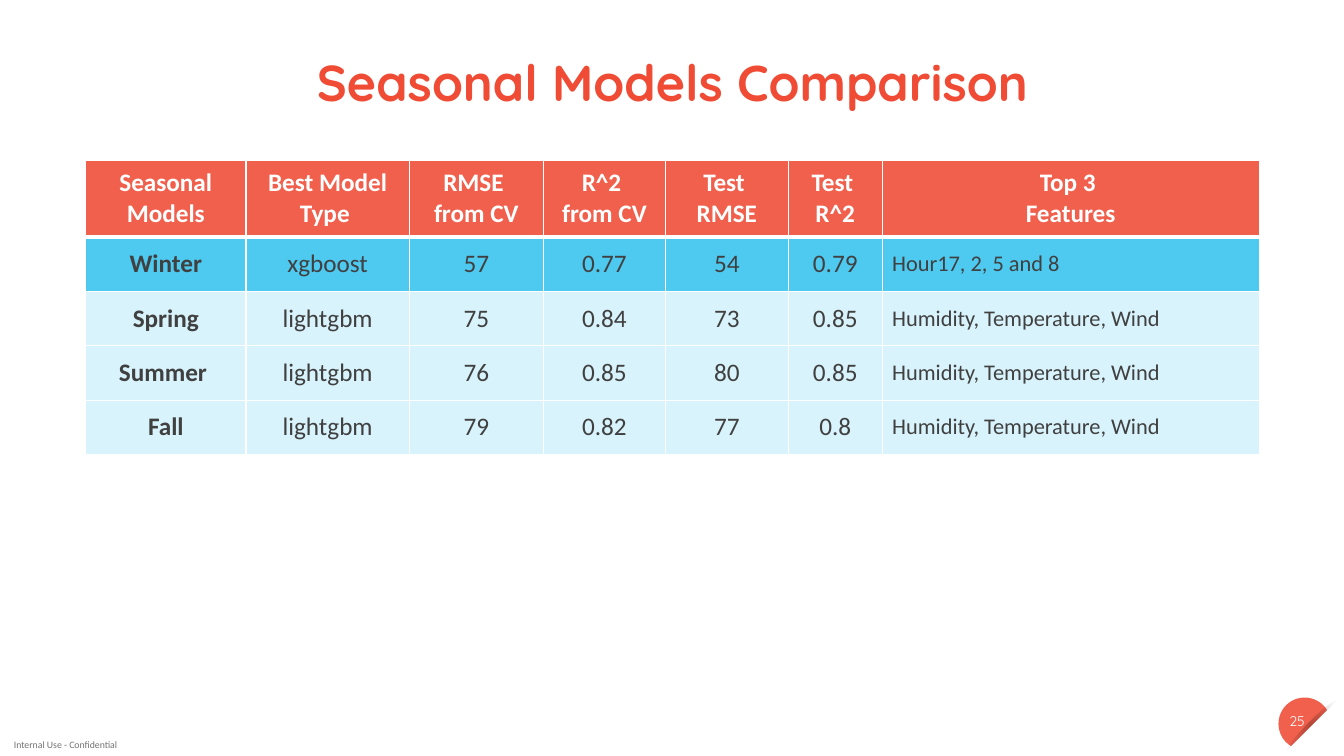
"""Build the seasonal models comparison slide."""
from lxml import etree
from pptx import Presentation
from pptx import util as u
from pptx.dml.color import RGBColor
from pptx.enum import shapes, text
from pptx.oxml import parse_xml
from pptx.oxml.ns import nsdecls, qn

PX = 9144
HUES = {"white": "FFFFFF", "coral": "F1604D", "title": "EF4B35", "sky": "4EC9F0",
        "pale": "D8F3FC", "ink": "404040", "gray": "737373"}
COLS = [159, 162, 133, 121, 122, 93, 374]
ROWS = [76, 54, 54, 54, 54]
DATA = [
    ["Seasonal Models", "Best Model\nType ", "RMSE \nfrom CV", "R^2 \nfrom CV",
     "Test \nRMSE", "Test \nR^2", "Top 3 \nFeatures"],
    ["Winter", "xgboost", "57", "0.77", "54", "0.79", "Hour17, 2, 5 and 8"],
    ["Spring", "lightgbm", "75", "0.84", "73", "0.85", "Humidity, Temperature, Wind"],
    ["Summer ", "lightgbm", "76", "0.85", "80", "0.85", "Humidity, Temperature, Wind"],
    ["Fall", "lightgbm", "79", "0.82", "77", "0.8", "Humidity, Temperature, Wind"],
]


def emu(*box):
    """Turn px lengths into EMU."""
    return [u.Emu(n * PX) for n in box]


def hue(name):
    """Look up a colour by name."""
    return RGBColor.from_string(HUES[name])


def style(frame, size, font, tint, bold=False, align=text.PP_ALIGN.CENTER):
    """Format every run of a text frame."""
    frame.vertical_anchor = text.MSO_ANCHOR.MIDDLE
    for para in frame.paragraphs:
        para.alignment = align
        for run in para.runs:
            run.font.size, run.font.name = u.Pt(size), font
            run.font.bold, run.font.color.rgb = bold, hue(tint)


def label(slide, box, words, size, font, tint, **more):
    """Add a one-line text box without insets."""
    frame = slide.shapes.add_textbox(*emu(*box)).text_frame
    frame.margin_left = frame.margin_right = frame.margin_top = frame.margin_bottom = 0
    frame.word_wrap = True
    frame.text = words
    style(frame, size, font, tint, **more)


def shape(slide, kind, box, tint):
    """Add a plain filled shape."""
    item = slide.shapes.add_shape(kind, *emu(*box))
    item.shadow.inherit = False
    item.line.fill.background()
    item.fill.solid()
    item.fill.fore_color.rgb = hue(tint)
    return item


def heading(slide, box):
    """Place and format the title."""
    title = slide.shapes.title
    title.left, title.top, title.width, title.height = emu(*box)
    frame = title.text_frame
    frame.text = "Seasonal Models Comparison"
    frame.auto_size = text.MSO_AUTO_SIZE.NONE
    frame.paragraphs[0].line_spacing = 0.9
    style(frame, 36, "Quicksand", "title", bold=True)


def edge(cell, row):
    """Draw the white cell borders, heavy under the header."""
    props = cell._tc.get_or_add_tcPr()
    for side in "LRTB":
        heavy = (row, side) in [(0, "B"), (1, "T")]
        line = etree.SubElement(props, qn("a:ln" + side), w=str(u.Pt(3 if heavy else 1)))
        fill = etree.SubElement(line, qn("a:solidFill"))
        etree.SubElement(fill, qn("a:srgbClr"), val=HUES["white"])


def table(slide, box):
    """Fill the comparison table."""
    grid = slide.shapes.add_table(len(ROWS), len(COLS), *emu(*box)).table
    for col, wide in zip(grid.columns, COLS):
        col.width = u.Emu(wide * PX)
    for row, high in zip(grid.rows, ROWS):
        row.height = u.Emu(high * PX)
    fills = ["coral", "sky", "pale", "pale", "pale"]
    for r, line in enumerate(DATA):
        for c, words in enumerate(line):
            cell = grid.cell(r, c)
            edge(cell, r)
            cell.fill.solid()
            cell.fill.fore_color.rgb = hue(fills[r])
            cell.text_frame.text = words
            note = r > 0 and c == len(COLS) - 1
            style(cell.text_frame, 16 if note else 18, "Calibri",
                  "ink" if r else "white", bold=r == 0 or c == 0,
                  align=text.PP_ALIGN.LEFT if note else text.PP_ALIGN.CENTER)
            cell.vertical_anchor = text.MSO_ANCHOR.MIDDLE


def fade(item):
    """Give a shape a black radial fill that fades out."""
    stops = "".join(
        f'<a:gs pos="{pos}"><a:srgbClr val="000000"><a:alpha val="{alpha}"/></a:srgbClr></a:gs>'
        for pos, alpha in [(0, 26000), (93000, 0)])
    mid = 'l="50000" t="50000" r="50000" b="50000"'
    grad = parse_xml(f'<a:gradFill {nsdecls("a")}><a:gsLst>{stops}</a:gsLst>'
                     f'<a:path path="shape"><a:fillToRect {mid}/></a:path></a:gradFill>')
    props = item._element.spPr
    props.replace(props.find(qn("a:solidFill")), grad)


def badge(slide, box):
    """Draw the folded disc with the page number."""
    x, y, w, h = box
    kinds = shapes.MSO_SHAPE
    shape(slide, kinds.OVAL, (x + 2, y + 2, 52, 52), "coral")
    shade = shape(slide, kinds.OVAL, (x, y + 26, w, 9), "gray")
    shade.rotation = 315
    fade(shade)
    fold = shape(slide, kinds.RIGHT_TRIANGLE, (x + 4, y, 61, h), "white")
    fold._element.spPr.find(qn("a:xfrm")).set("flipH", "1")
    label(slide, (x, y + 5, 41, 40), "25", 10, "Quicksand", "white")


def main():
    """Build and save the slide."""
    deck = Presentation()
    deck.slide_width, deck.slide_height = emu(1333, 750)
    slide = deck.slides.add_slide(deck.slide_layouts[5])
    label(slide, (0, 727, 130, 23), "Internal Use - Confidential", 7, "Calibri", "gray")
    heading(slide, (62, 40, 1210, 89))
    table(slide, (85, 159, sum(COLS), sum(ROWS)))
    badge(slide, (1266, 690, 70, 61))
    deck.save("out.pptx")


if __name__ == "__main__":
    main()
